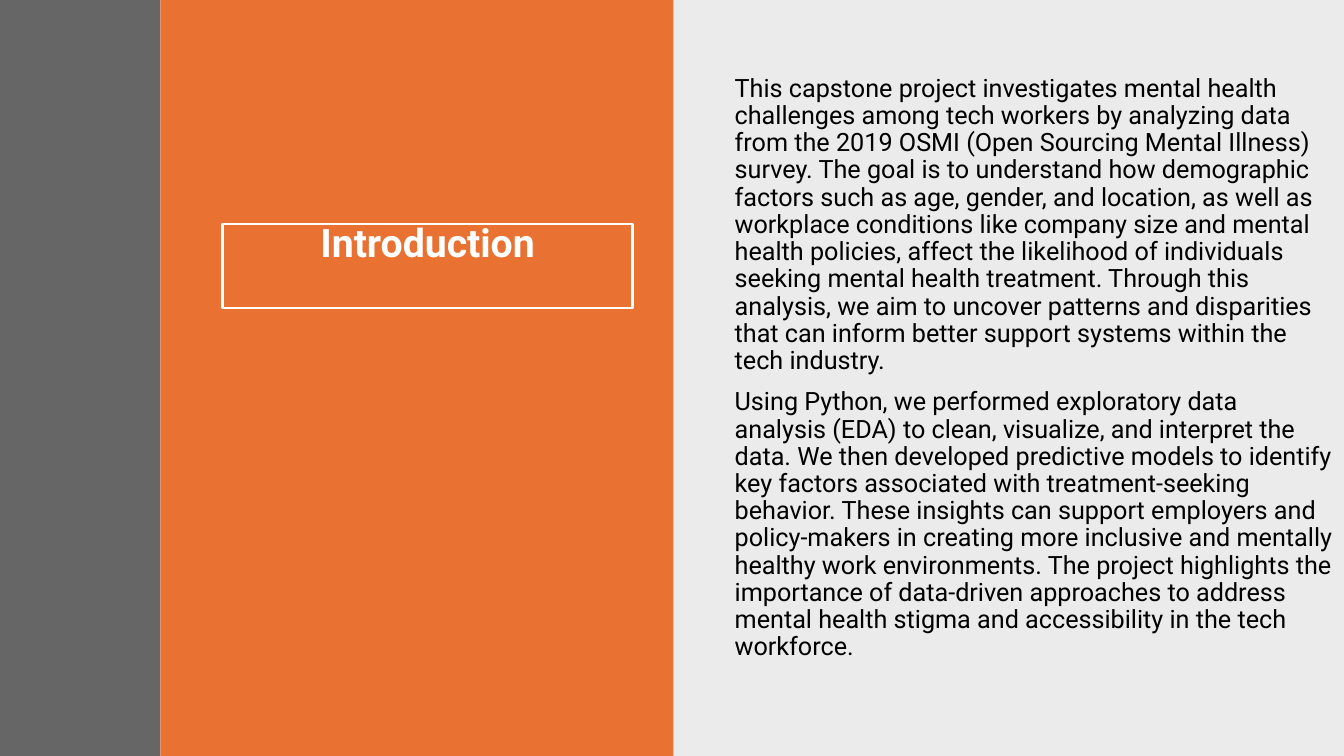
from lxml.etree import SubElement
from pptx import Presentation
from pptx.dml.color import RGBColor
from pptx.enum.shapes import MSO_SHAPE
from pptx.enum.text import MSO_ANCHOR, MSO_AUTO_SIZE, PP_ALIGN
from pptx.oxml.ns import qn
from pptx.util import Pt

FONT = "Roboto"
SLIDE_WIDTH, SLIDE_HEIGHT = 960, 540


def color(hex_value):
    return RGBColor.from_string(hex_value)


def style_paragraph(paragraph, size, hex_value):
    paragraph.line_spacing = 0.9
    paragraph.font.name = FONT
    paragraph.font.size = Pt(size)
    paragraph.font.color.rgb = color(hex_value)


presentation = Presentation()
presentation.slide_width = Pt(SLIDE_WIDTH)
presentation.slide_height = Pt(SLIDE_HEIGHT)
slide = presentation.slides.add_slide(presentation.slide_layouts[5])

# Full-height background panels: left, width, fill, opacity in percent
panels = [
    (480, 480, "000000", 8),
    (114.5, 366.5, "E97132", 100),
    (0, 114.5, "404040", 80),
]
for left, width, fill, opacity in panels:
    panel = slide.shapes.add_shape(
        MSO_SHAPE.RECTANGLE, Pt(left), Pt(0), Pt(width), Pt(SLIDE_HEIGHT))
    panel.shadow.inherit = False
    panel.line.fill.background()
    panel.fill.solid()
    panel.fill.fore_color.rgb = color(fill)
    if opacity < 100:
        fill_color = panel.element.spPr.find(qn("a:solidFill")).find(qn("a:srgbClr"))
        SubElement(fill_color, qn("a:alpha"), val=str(opacity * 1000))

# Framed title, brought in front of the panels
title = slide.shapes.title
slide.shapes.element.append(title.element)
title.left, title.top, title.width, title.height = Pt(159), Pt(160), Pt(293), Pt(60)
title.line.color.rgb = color("FFFFFF")
title.line.width = Pt(2)
title_frame = title.text_frame
title_frame.text = "Introduction"
title_frame.auto_size = MSO_AUTO_SIZE.NONE
title_frame.vertical_anchor = MSO_ANCHOR.TOP
title_frame.margin_top = Pt(0)
heading = title_frame.paragraphs[0]
heading.alignment = PP_ALIGN.CENTER
heading.font.bold = True
style_paragraph(heading, 28, "FFFFFF")

# Body text
body_texts = [
    "This capstone project investigates mental health challenges among tech "
    "workers by analyzing data from the 2019 OSMI (Open Sourcing Mental Illness) "
    "survey. The goal is to understand how demographic factors such as age, "
    "gender, and location, as well as workplace conditions like company size and "
    "mental health policies, affect the likelihood of individuals seeking mental "
    "health treatment. Through this analysis, we aim to uncover patterns and "
    "disparities that can inform better support systems within the tech industry.",
    "Using Python, we performed exploratory data analysis (EDA) to clean, "
    "visualize, and interpret the data. We then developed predictive models to "
    "identify key factors associated with treatment-seeking behavior. These "
    "insights can support employers and policy-makers in creating more inclusive "
    "and mentally healthy work environments. The project highlights the "
    "importance of data-driven approaches to address mental health stigma and "
    "accessibility in the tech workforce.",
]
body = slide.shapes.add_textbox(Pt(517.7), Pt(50.4), Pt(442.8), Pt(440.6))
body_frame = body.text_frame
body_frame.word_wrap = True
body_frame.text = "\n".join(body_texts)
for paragraph in body_frame.paragraphs:
    style_paragraph(paragraph, 18, "000000")
    paragraph.space_before = Pt(10)

presentation.save("out.pptx")
